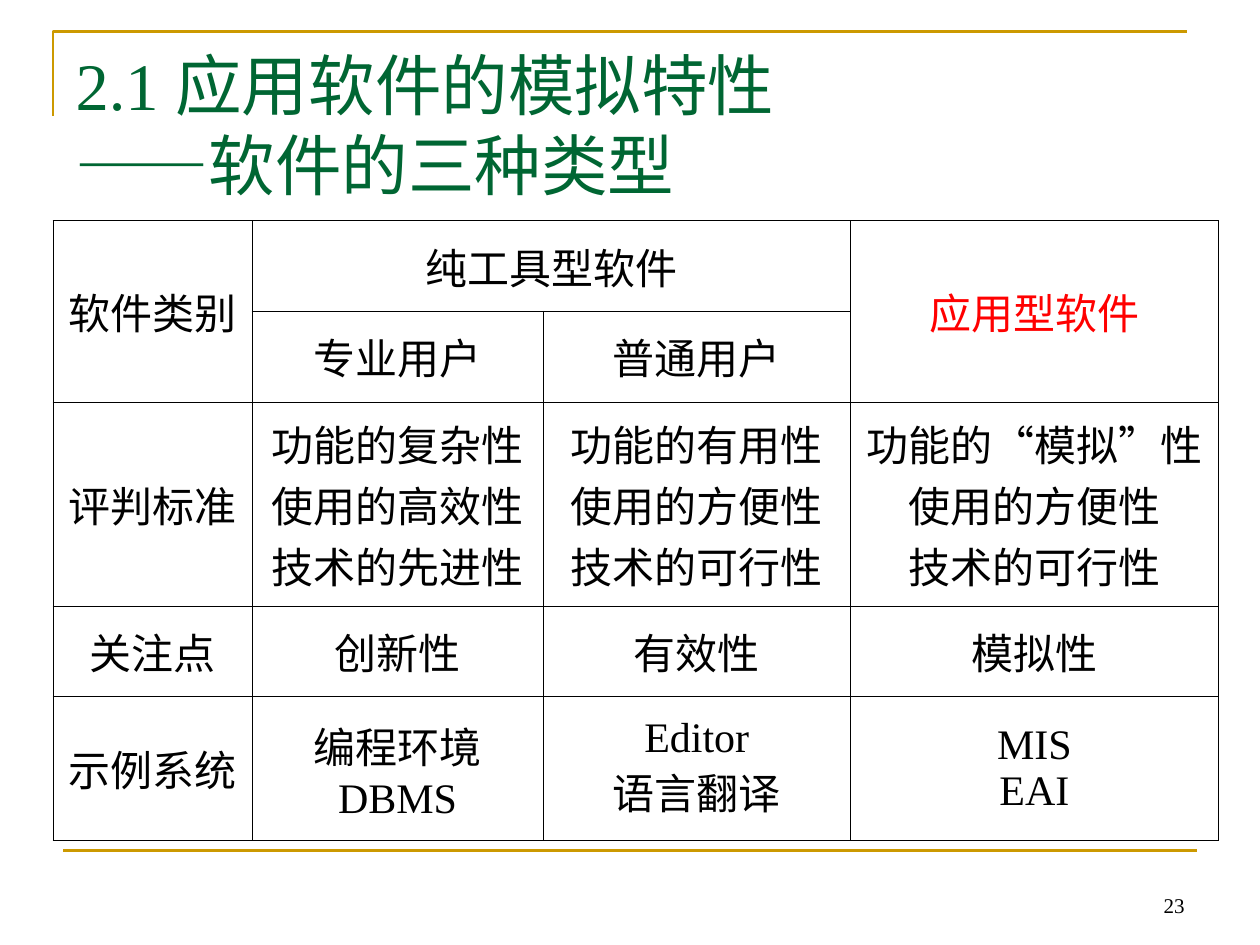
from lxml.etree import SubElement
from pptx import Presentation
from pptx.dml.color import RGBColor
from pptx.enum.shapes import MSO_CONNECTOR
from pptx.enum.text import MSO_ANCHOR, MSO_AUTO_SIZE, PP_ALIGN
from pptx.oxml.ns import qn
from pptx.util import Inches, Pt

GOLD = RGBColor(0xCC, 0x99, 0x00)
GREEN = RGBColor(0x00, 0x66, 0x33)
RED = RGBColor(0xFF, 0x00, 0x00)
BLACK = RGBColor(0x00, 0x00, 0x00)
SERIF, SANS = "Times New Roman", "Arial"

COLUMN_WIDTHS = [1.58, 2.31, 2.44, 2.92]
ROW_HEIGHTS = [0.72, 0.72, 1.62, 0.72, 1.14]
# Each cell is a list of lines; None marks a cell covered by a merge
ROWS = [
    [["软件类别"], ["纯工具型软件"], None, ["应用型软件"]],
    [None, ["专业用户"], ["普通用户"], None],
    [["评判标准"],
     ["功能的复杂性", "使用的高效性", "技术的先进性"],
     ["功能的有用性", "使用的方便性", "技术的可行性"],
     ["功能的“模拟”性", "使用的方便性", "技术的可行性"]],
    [["关注点"], ["创新性"], ["有效性"], ["模拟性"]],
    [["示例系统"], ["编程环境", "DBMS"], ["Editor", "语言翻译"], ["MIS", "EAI"]],
]
MERGES = [((0, 0), (1, 0)), ((0, 1), (0, 2)), ((0, 3), (1, 3))]


def add_run(paragraph, text, size, color, font=SERIF):
    run = paragraph.add_run()
    run.text = text
    run.font.size = Pt(size)
    run.font.name = font
    run.font.color.rgb = color


def add_frame_lines(slide, left, top, width, height):
    # Corner bracket around the title
    corner_height = Inches(0.67)
    builder = slide.shapes.build_freeform(left, top + corner_height)
    builder.add_line_segments([(left, top), (left + width, top)], close=False)
    corner = builder.convert_to_shape()
    corner.shadow.inherit = False
    corner.fill.background()
    # Rule at the foot
    foot_left, foot_top = left + Inches(0.08), top + height
    rule = slide.shapes.add_connector(
        MSO_CONNECTOR.STRAIGHT, foot_left, foot_top, foot_left + width, foot_top)
    SubElement(rule._element.spPr, qn("a:effectLst"))
    for shape in (corner, rule):
        shape.line.color.rgb = GOLD
        shape.line.width = Pt(1.5)


def add_title(slide, left, top, width, height):
    title = slide.shapes.title
    title.left, title.top, title.width, title.height = left, top, width, height
    frame = title.text_frame
    frame.auto_size = MSO_AUTO_SIZE.NONE
    frame.vertical_anchor = MSO_ANCHOR.TOP
    paragraph = frame.paragraphs[0]
    paragraph.alignment = PP_ALIGN.LEFT
    add_run(paragraph, "2.1 应用软件的模拟特性", 38, GREEN)
    paragraph.add_line_break()
    add_run(paragraph, "——", 38, GREEN, SANS)
    add_run(paragraph, "软件的三种类型", 38, GREEN)


def set_borders(cell):
    properties = cell._tc.get_or_add_tcPr()
    for side in ("a:lnL", "a:lnR", "a:lnT", "a:lnB"):
        line = SubElement(properties, qn(side), w=str(Pt(0.45)))
        fill = SubElement(line, qn("a:solidFill"))
        SubElement(fill, qn("a:srgbClr"), val=str(BLACK))


def fill_cell(cell, lines, color):
    cell.vertical_anchor = MSO_ANCHOR.MIDDLE
    for index, text in enumerate(lines):
        frame = cell.text_frame
        paragraph = frame.add_paragraph() if index else frame.paragraphs[0]
        paragraph.alignment = PP_ALIGN.CENTER
        # Hanging indent
        properties = paragraph._p.get_or_add_pPr()
        properties.set("marL", str(Inches(0.38)))
        properties.set("indent", str(-Inches(0.38)))
        # Quotation marks take the sans font
        for part in text.replace("“", "|“|").replace("”", "|”|").split("|"):
            add_run(paragraph, part, 24, color, SANS if part in ("“", "”") else SERIF)


def add_type_table(slide, left, top, width, height):
    table = slide.shapes.add_table(
        len(ROWS), len(COLUMN_WIDTHS), left, top, width, height).table
    table.first_row = table.horz_banding = False
    for column, column_width in zip(table.columns, COLUMN_WIDTHS):
        column.width = Inches(column_width)
    for row, row_height in zip(table.rows, ROW_HEIGHTS):
        row.height = Inches(row_height)
    for start, end in MERGES:
        table.cell(*start).merge(table.cell(*end))
    for row_index, row in enumerate(ROWS):
        for column_index, lines in enumerate(row):
            cell = table.cell(row_index, column_index)
            set_borders(cell)
            cell.fill.background()
            if lines:
                fill_cell(cell, lines, RED if lines == ["应用型软件"] else BLACK)


def add_page_number(slide, left, top, width, height):
    frame = slide.shapes.add_textbox(left, top, width, height).text_frame
    frame.word_wrap = True
    frame.vertical_anchor = MSO_ANCHOR.BOTTOM
    paragraph = frame.paragraphs[0]
    paragraph.alignment = PP_ALIGN.RIGHT
    add_run(paragraph, "23", 12, BLACK)


def main():
    presentation = Presentation()
    presentation.slide_width, presentation.slide_height = Inches(10), Inches(7.5)
    slide = presentation.slides.add_slide(presentation.slide_layouts[5])
    add_frame_lines(slide, Inches(0.42), Inches(0.25), Inches(9), Inches(6.5))
    add_title(slide, Inches(0.5), Inches(0.3), Inches(9), Inches(1.25))
    add_type_table(slide, Inches(0.42), Inches(1.75), Inches(9.25), Inches(4.92))
    add_page_number(slide, Inches(7.17), Inches(6.83), Inches(2.33), Inches(0.5))
    presentation.save("out.pptx")


if __name__ == "__main__":
    main()
